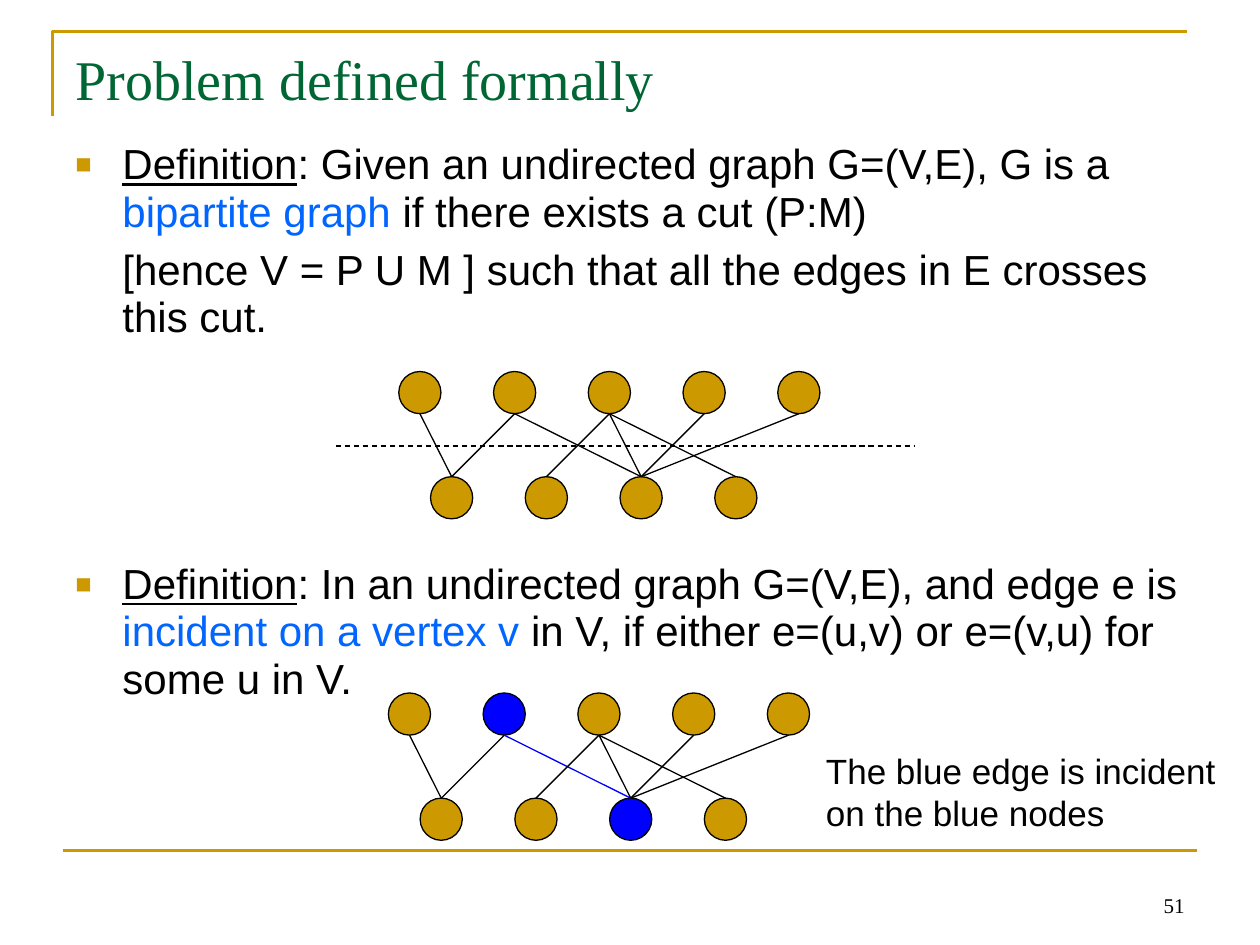
from lxml.etree import SubElement
from pptx import Presentation
from pptx.dml.color import RGBColor
from pptx.enum.dml import MSO_LINE
from pptx.enum.shapes import MSO_CONNECTOR, MSO_SHAPE
from pptx.enum.text import MSO_ANCHOR, MSO_AUTO_SIZE, PP_ALIGN
from pptx.oxml.ns import qn
from pptx.util import Cm, Pt

HEX = {"gold": "CC9900", "green": "006633", "link": "0066FF",
       "blue": "0000FF", "black": "000000"}
RGB = {name: RGBColor.from_string(code) for name, code in HEX.items()}

deck = Presentation()
deck.slide_width, deck.slide_height = Cm(25.4), Cm(19.05)
slide = deck.slides.add_slide(deck.slide_layouts[5])
shapes = slide.shapes


def add_line(x1, y1, x2, y2, color="black", width=0.75):
    line = shapes.add_connector(MSO_CONNECTOR.STRAIGHT,
                                Cm(x1), Cm(y1), Cm(x2), Cm(y2))
    line.line.color.rgb = RGB[color]
    line.line.width = Pt(width)
    SubElement(line._element.spPr, qn("a:effectLst"))
    return line


def set_font(para, size, name="Arial", color="black"):
    para.font.size = Pt(size)
    para.font.name = name
    para.font.color.rgb = RGB[color]


# Frame lines
pen = shapes.build_freeform(Cm(1.06), Cm(2.33))
pen.add_line_segments([(Cm(1.06), Cm(0.63)), (Cm(23.92), Cm(0.63))], close=False)
frame = pen.convert_to_shape()
frame.shadow.inherit = False
frame.fill.background()
frame.line.color.rgb = RGB["gold"]
frame.line.width = Pt(1.5)
add_line(1.27, 17.15, 24.13, 17.15, "gold", 1.5)

# Title
title = shapes.title
title.left, title.top, title.width, title.height = Cm(1.27), Cm(0.76), Cm(22.86), Cm(3.18)
title.text_frame.text = "Problem defined formally"
title.text_frame.vertical_anchor = MSO_ANCHOR.TOP
title.text_frame.auto_size = MSO_AUTO_SIZE.NONE
para = title.text_frame.paragraphs[0]
para.alignment = PP_ALIGN.LEFT
set_font(para, 32, "Times New Roman", "green")

# Definitions: space before, bullet, runs of (text, style)
items = [
    (6, True, [("Definition", "under"),
               (": Given an undirected graph G=(V,E), G is a ", ""),
               ("bipartite graph", "link"),
               (" if there exists a cut (P:M)", "")]),
    (6, False, [("[hence V = P U M ] such that all the edges in E crosses this cut.", "")]),
    (125.5, True, [("Definition", "under"),
                   (": In an undirected graph G=(V,E), and edge e is ", ""),
                   ("incident on a vertex v", "link"),
                   (" in V, if either e=(u,v) or e=(v,u) for some u in V.", "")]),
]
body = shapes.add_textbox(Cm(1.27), Cm(2.74), Cm(22.86), Cm(12.57)).text_frame
body.word_wrap = True
for i, (gap, bullet, runs) in enumerate(items):
    para = body.add_paragraph() if i else body.paragraphs[0]
    set_font(para, 24)
    para.space_before = Pt(gap)
    para.line_spacing = 0.94
    props = para._p.get_or_add_pPr()
    props.set("marL", str(Cm(0.95)))
    props.set("indent", str(Cm(-0.95) if bullet else 0))
    if bullet:
        # Bullet marks must stand before the default run properties
        rest = props.find(qn("a:defRPr"))
        tint = SubElement(props, qn("a:buClr"))
        SubElement(tint, qn("a:srgbClr"), val=HEX["gold"])
        marks = [tint, SubElement(props, qn("a:buSzPct"), val="65000"),
                 SubElement(props, qn("a:buFont"), typeface="Arial"),
                 SubElement(props, qn("a:buChar"), char="■")]
        for mark in marks:
            rest.addprevious(mark)
    for text, style in runs:
        run = para.add_run()
        run.text = text
        if style == "under":
            run.font.underline = True
        elif style == "link":
            run.font.color.rgb = RGB["link"]

# Graphs: left, top, blue nodes as (row, column), blue edges
SIZE, STEP, SHIFT, DROP = 0.85, 1.91, 0.64, 2.12
EDGES = [(0, 0), (1, 0), (1, 2), (2, 1), (2, 2), (2, 3), (3, 2), (4, 2)]
graphs = [(8.04, 7.49, [], []),
          (7.83, 13.97, [(0, 1), (1, 2)], [(1, 2)])]
for left, top, nodes, edges in graphs:
    for row, count in enumerate((5, 4)):
        for col in range(count):
            node = shapes.add_shape(
                MSO_SHAPE.OVAL, Cm(left + row * SHIFT + col * STEP),
                Cm(top + row * DROP), Cm(SIZE), Cm(SIZE))
            node.shadow.inherit = False
            node.fill.solid()
            node.fill.fore_color.rgb = RGB["blue" if (row, col) in nodes else "gold"]
            node.line.color.rgb = RGB["black"]
            node.line.width = Pt(0.75)
    mid = left + SIZE / 2
    for up, low in EDGES:
        add_line(mid + up * STEP, top + SIZE, mid + SHIFT + low * STEP, top + DROP,
                 "blue" if (up, low) in edges else "black")

cut = add_line(6.77, 8.99, 18.42, 8.99)
cut.line.dash_style = MSO_LINE.DASH

# Note and page number
note = shapes.add_textbox(Cm(16.4), Cm(14.99), Cm(8.36), Cm(1.96)).text_frame
note.word_wrap = False
note.text = "The blue edge is incident\non the blue nodes"
for para in note.paragraphs:
    set_font(para, 20)

page = shapes.add_textbox(Cm(18.2), Cm(17.36), Cm(5.93), Cm(1.27)).text_frame
page.word_wrap = True
page.vertical_anchor = MSO_ANCHOR.BOTTOM
page.text = "51"
page.paragraphs[0].alignment = PP_ALIGN.RIGHT
set_font(page.paragraphs[0], 12, "Times New Roman")

deck.save("out.pptx")
